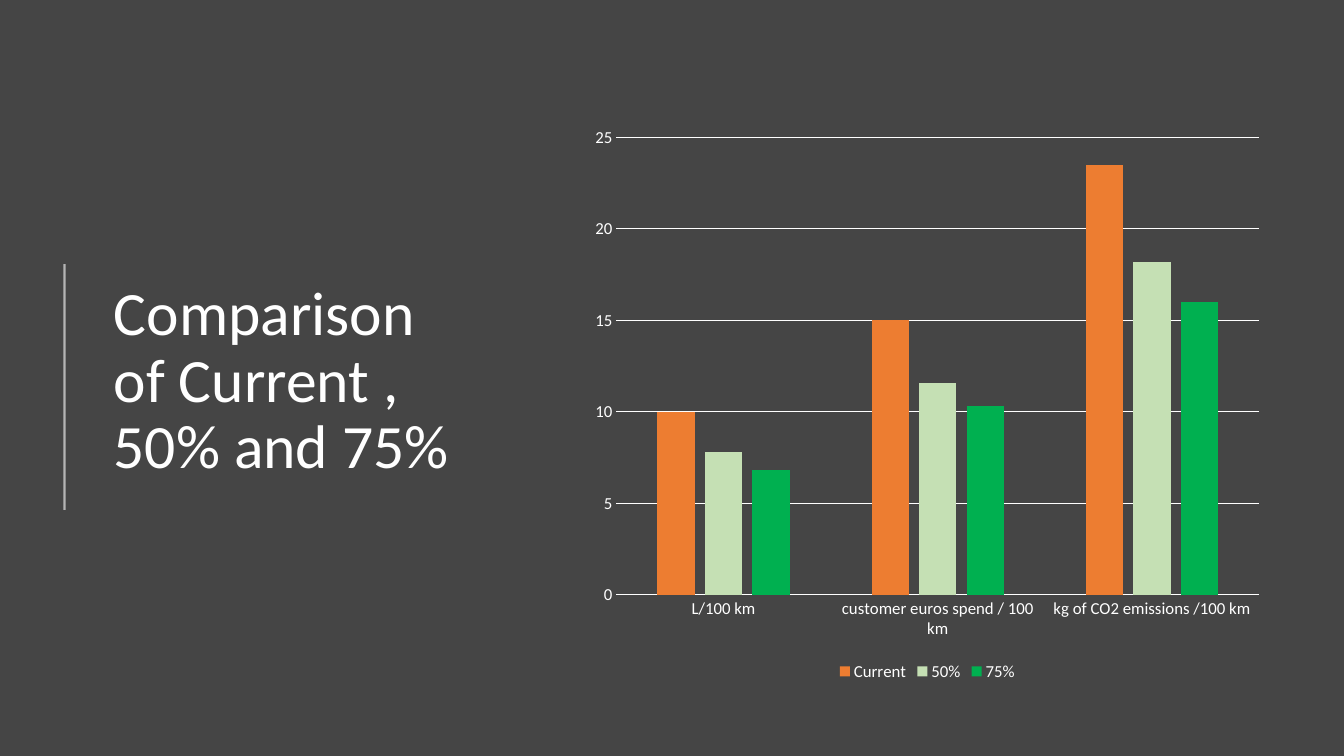
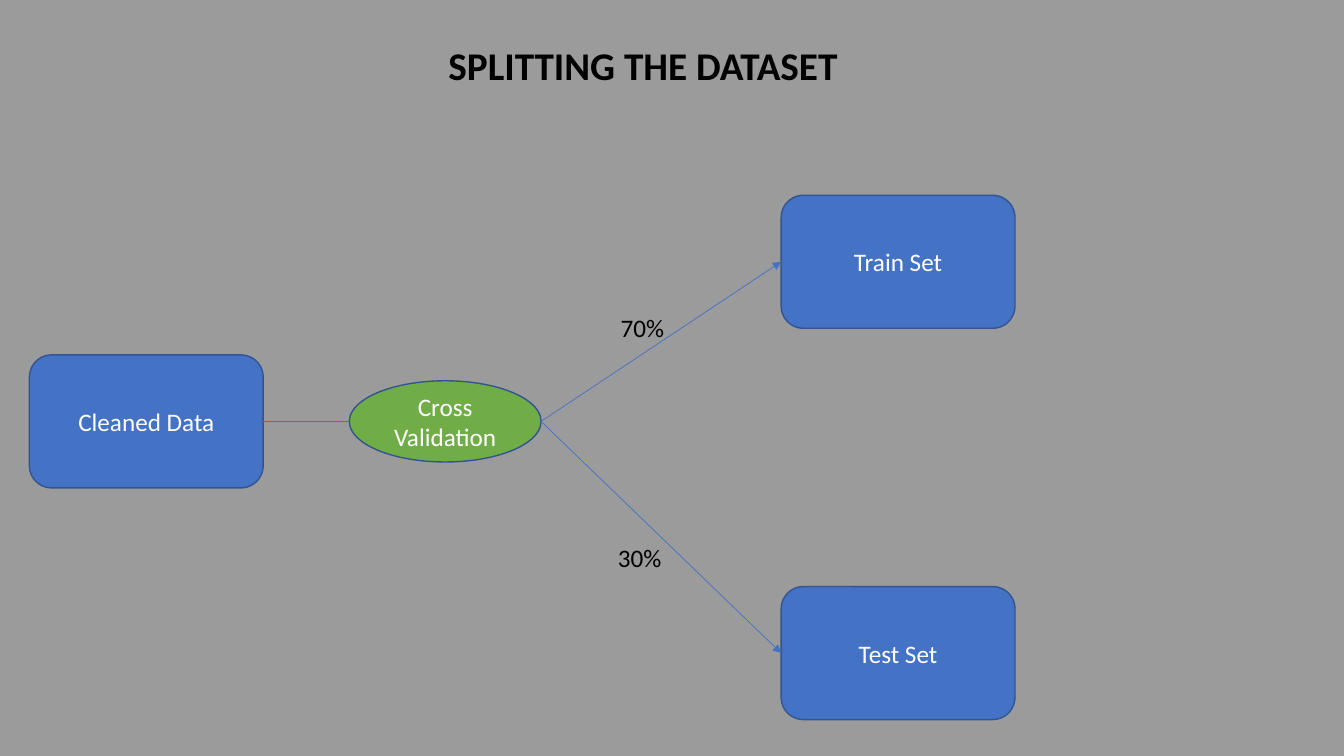
from dataclasses import dataclass
from typing import Optional

from lxml import etree
from pptx import Presentation
from pptx import util as u
from pptx.chart import data
from pptx.chart.chart import Chart
from pptx.dml import color, line
from pptx.enum import chart as charts
from pptx.enum import shapes, text
from pptx.oxml import ns
from pptx.shapes.autoshape import Shape
from pptx.slide import Slide


@dataclass(frozen=True)
class Theme:
    font: str = "Calibri"
    dark: str = "454545"
    grey: str = "9B9B9B"
    white: str = "FFFFFF"
    black: str = "000000"
    blue: str = "4472C4"
    outline: str = "325491"
    green: str = "70AD47"
    orange: str = "ED7D31"
    mint: str = "C5E0B4"
    emerald: str = "00B050"
    headline: float = 44
    heading: float = 28
    body: float = 18
    label: float = 12


THEME = Theme()


@dataclass(frozen=True)
class Area:
    left: float
    top: float
    width: float
    height: float

    @property
    def middle(self) -> float:
        return self.top + self.height / 2

    @property
    def entry(self) -> tuple[float, float]:
        return self.left, self.middle

    @property
    def exit(self) -> tuple[float, float]:
        return self.left + self.width, self.middle

    def lengths(self) -> tuple[u.Length, ...]:
        return tuple(u.Pt(n) for n in (self.left, self.top, self.width, self.height))


@dataclass(frozen=True)
class Style:
    size: float = THEME.body
    ink: str = THEME.black
    bold: bool = False
    align: text.PP_ALIGN = text.PP_ALIGN.LEFT
    anchor: text.MSO_ANCHOR = text.MSO_ANCHOR.TOP
    spacing: float = 1.0
    wrap: bool = True


@dataclass(frozen=True)
class Node:
    words: str
    area: Area
    fill: str = THEME.blue
    kind: shapes.MSO_SHAPE = shapes.MSO_SHAPE.ROUNDED_RECTANGLE


@dataclass(frozen=True)
class Link:
    start: tuple[float, float]
    end: tuple[float, float]
    ink: str = THEME.blue
    weight: float = 0.5
    arrow: bool = False
    opacity: Optional[int] = None


@dataclass(frozen=True)
class Label:
    words: str
    area: Area
    style: Style


@dataclass(frozen=True)
class Series:
    name: str
    values: tuple[float, ...]
    fill: str


def rgb(value: str) -> color.RGBColor:
    return color.RGBColor.from_string(value)


def add_page(deck, background: str) -> Slide:
    page = deck.slides.add_slide(deck.slide_layouts[6])
    page.background.fill.solid()
    page.background.fill.fore_color.rgb = rgb(background)
    return page


def write(box: Shape, words: str, style: Style) -> None:
    frame = box.text_frame
    frame.word_wrap = style.wrap
    frame.vertical_anchor = style.anchor
    para = frame.paragraphs[0]
    para.alignment = style.align
    para.line_spacing = style.spacing
    span = para.add_run()
    span.text = words
    span.font.name = THEME.font
    span.font.size = u.Pt(style.size)
    span.font.bold = style.bold
    span.font.color.rgb = rgb(style.ink)


def add_label(page: Slide, label: Label) -> None:
    box = page.shapes.add_textbox(*label.area.lengths())
    write(box, label.words, label.style)


def paint_line(target: line.LineFormat, ink: str, weight: float) -> None:
    target.fill.solid()
    target.fill.fore_color.rgb = rgb(ink)
    target.width = u.Pt(weight)


def add_node(page: Slide, node: Node) -> None:
    box = page.shapes.add_shape(node.kind, *node.area.lengths())
    box.shadow.inherit = False
    box.fill.solid()
    box.fill.fore_color.rgb = rgb(node.fill)
    paint_line(box.line, THEME.outline, 1)
    write(box, node.words, NODE_STYLE)


def add_link(page: Slide, link: Link) -> None:
    ends = [u.Pt(n) for n in (*link.start, *link.end)]
    connector = page.shapes.add_connector(shapes.MSO_CONNECTOR.STRAIGHT, *ends)
    paint_line(connector.line, link.ink, link.weight)
    properties = connector._element.spPr
    stroke = properties.find(ns.qn("a:ln"))
    if link.opacity is not None:
        shade = stroke.find(".//" + ns.qn("a:srgbClr"))
        etree.SubElement(shade, ns.qn("a:alpha"), val=str(link.opacity * 1000))
    if link.arrow:
        etree.SubElement(stroke, ns.qn("a:tailEnd"), type="triangle")
    etree.SubElement(properties, ns.qn("a:effectLst"))


def style_axes(chart: Chart) -> None:
    for axis in (chart.category_axis, chart.value_axis):
        axis.major_tick_mark = charts.XL_TICK_MARK.NONE
        axis.minor_tick_mark = charts.XL_TICK_MARK.NONE
    paint_line(chart.category_axis.format.line, THEME.white, 0.75)
    values = chart.value_axis
    values.minimum_scale, values.maximum_scale, values.major_unit = 0, 25, 5
    values.format.line.fill.background()
    values.has_major_gridlines = True
    paint_line(values.major_gridlines.format.line, THEME.white, 0.75)


def add_columns(page: Slide, area: Area, categories: tuple[str, ...],
                series: tuple[Series, ...]) -> None:
    table = data.CategoryChartData()
    table.categories = categories
    for item in series:
        table.add_series(item.name, item.values)
    chart = page.shapes.add_chart(
        charts.XL_CHART_TYPE.COLUMN_CLUSTERED, *area.lengths(), table).chart
    chart.has_title = False
    chart.font.name = THEME.font
    chart.font.size = u.Pt(THEME.label)
    chart.font.color.rgb = rgb(THEME.white)
    chart.has_legend = True
    chart.legend.position = charts.XL_LEGEND_POSITION.BOTTOM
    chart.legend.include_in_layout = False
    style_axes(chart)
    plot = chart.plots[0]
    plot.gap_width, plot.overlap, plot.vary_by_categories = 219, -27, False
    for column, item in zip(plot.series, series):
        column.invert_if_negative = False
        column.format.fill.solid()
        column.format.fill.fore_color.rgb = rgb(item.fill)


NODE_STYLE = Style(ink=THEME.white, align=text.PP_ALIGN.CENTER,
                   anchor=text.MSO_ANCHOR.MIDDLE)
HEADLINE = Style(THEME.headline, THEME.white, anchor=text.MSO_ANCHOR.MIDDLE, spacing=0.9)
HEADING = Style(THEME.heading, bold=True, align=text.PP_ALIGN.CENTER)
SHARE = Style(wrap=False)


def build_comparison(deck) -> None:
    page = add_page(deck, THEME.dark)
    add_label(page, Label("Comparison of Current , 50% and 75%",
                          Area(74.2, 56.2, 265.7, 433.4), HEADLINE))
    add_link(page, Link((46.1, 188.6), (46.1, 364.3), THEME.white, 1.5, opacity=60))
    add_columns(
        page, Area(415.4, 82.8, 493.9, 406.8),
        ("L/100 km", "customer euros spend / 100 km", "kg of CO2 emissions /100 km"),
        (Series("Current", (10, 15, 23.5), THEME.orange),
         Series("50%", (7.8, 11.6, 18.2), THEME.mint),
         Series("75%", (6.8, 10.3, 16), THEME.emerald)))


def build_split(deck) -> None:
    page = add_page(deck, THEME.grey)
    width, height, right = 167, 95, 558
    cleaned = Node("Cleaned Data", Area(21, 253.5, width, height))
    train = Node("Train Set", Area(right, 139.5, width, height))
    test = Node("Test Set", Area(right, 419, width, height))
    validation = Node("Cross Validation", Area(249.5, 272, 137, 58),
                      THEME.green, shapes.MSO_SHAPE.OVAL)
    for node in (cleaned, train, test, validation):
        add_node(page, node)
    add_link(page, Link(cleaned.area.exit, validation.area.entry))
    for node in (train, test):
        add_link(page, Link(validation.area.exit, node.area.entry, arrow=True))
    for label in (Label("70%", Area(436.3, 219.6, 46, 29), SHARE),
                  Label("30%", Area(434.2, 383.8, 46, 29), SHARE),
                  Label("SPLITTING THE DATASET", Area(260.6, 26, 397.4, 41), HEADING)):
        add_label(page, label)


def main() -> None:
    deck = Presentation()
    deck.slide_width, deck.slide_height = u.Pt(960), u.Pt(540)
    build_comparison(deck)
    build_split(deck)
    deck.save("out.pptx")


main()
